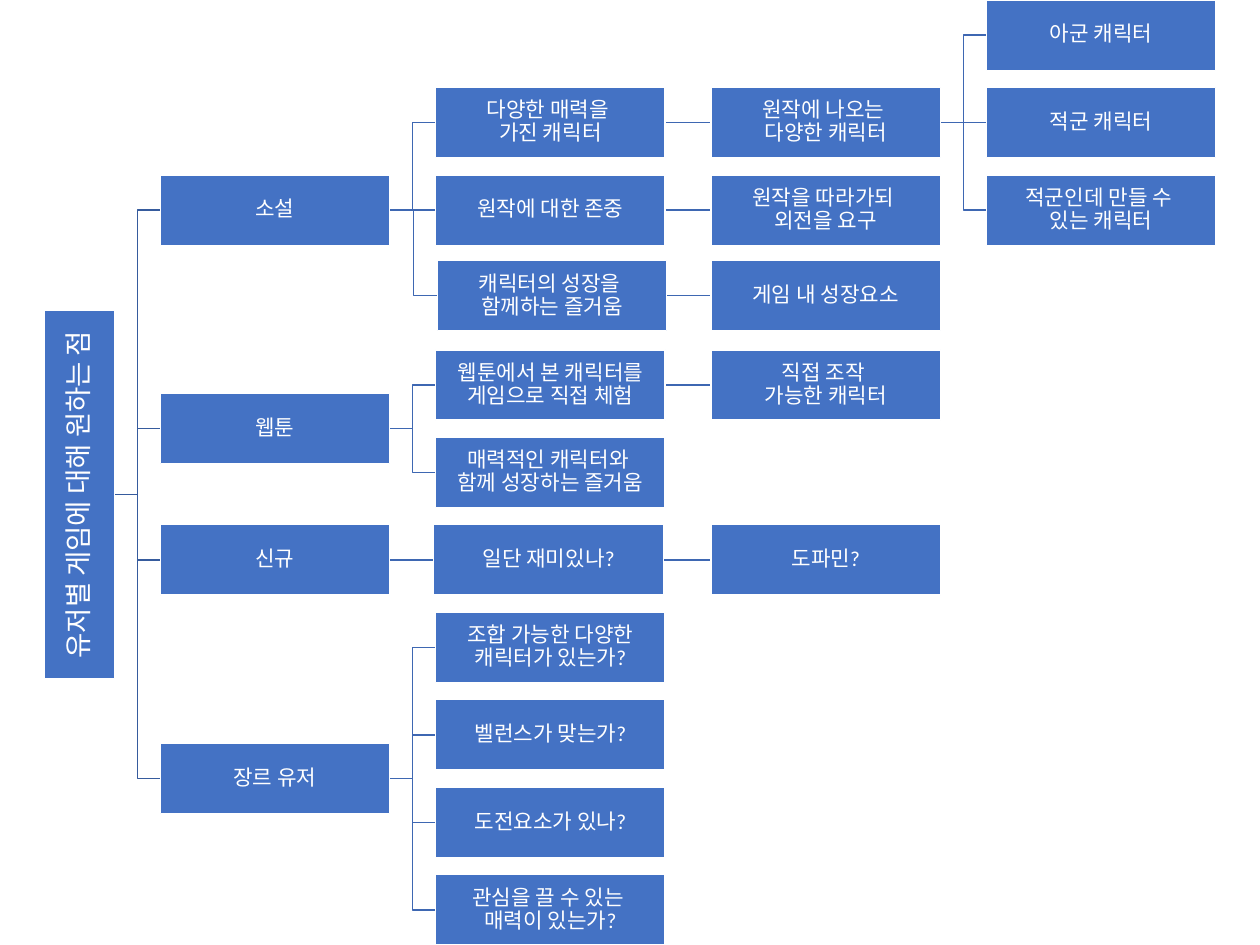
from collections import namedtuple
from dataclasses import dataclass

from lxml.etree import SubElement
from pptx import Presentation
from pptx.dml.color import RGBColor
from pptx.enum.shapes import MSO_CONNECTOR, MSO_SHAPE
from pptx.enum.text import MSO_ANCHOR, PP_ALIGN
from pptx.oxml.ns import qn
from pptx.util import Inches, Pt


@dataclass(frozen=True)
class Theme:
    box: RGBColor = RGBColor(0x44, 0x72, 0xC4)
    edge: RGBColor = RGBColor(0xFF, 0xFF, 0xFF)
    text: RGBColor = RGBColor(0xFF, 0xFF, 0xFF)
    trunk: RGBColor = RGBColor(0x36, 0x5B, 0x9D)
    branch: RGBColor = RGBColor(0x3E, 0x67, 0xB2)
    font: str = "Calibri"
    root_size: int = 22
    node_size: int = 17
    line: int = 1


THEME = Theme()
Box = namedtuple("Box", "left top width height")
Node = namedtuple("Node", "text row children nudge", defaults=((), 0))

ROOT_TEXT = "유저별 게임에 대해 원하는 점"
ROOT_BOX = Box(0.49, 3.45, 0.78, 4.09)
TREE_BOX = Box(1.78, 0, 11.73, 10.5)
NODE_W, NODE_H = 2.55, 0.78
COL_STEP, ROW_STEP = 3.06, 0.972

BRANCHES = (
    Node("소설", 2, (
        Node("다양한 매력을 \v가진 캐릭터", 1, (
            Node("원작에 나오는 \v다양한 캐릭터", 1, (
                Node("아군 캐릭터", 0),
                Node("적군 캐릭터", 1),
                Node("적군인데 만들 수 \v있는 캐릭터", 2),
            )),
        )),
        Node("원작에 대한 존중", 2, (
            Node("원작을 따라가되 \v외전을 요구", 2),
        )),
        Node("캐릭터의 성장을 \v함께하는 즐거움", 2.98, (
            Node("게임 내 성장요소", 2.98),
        ), 0.02),
    )),
    Node("웹툰", 4.5, (
        Node("웹툰에서 본 캐릭터를 게임으로 직접 체험", 4, (
            Node("직접 조작 \v가능한 캐릭터", 4),
        )),
        Node("매력적인 캐릭터와 \v함께 성장하는 즐거움", 5),
    )),
    Node("신규", 6, (
        Node("일단 재미있나?", 6, (
            Node("도파민?", 6),
        ), -0.02),
    )),
    Node("장르 유저", 8.5, (
        Node("조합 가능한 다양한 캐릭터가 있는가?", 7),
        Node("벨런스가 맞는가?", 8),
        Node("도전요소가 있나?", 9),
        Node("관심을 끌 수 있는 \v매력이 있는가?", 10),
    )),
)


def add_box(slide, text, box, size, inset):
    sp = slide.shapes.add_shape(MSO_SHAPE.RECTANGLE, *map(Inches, box))
    sp.shadow.inherit = False
    sp.fill.solid()
    sp.fill.fore_color.rgb = THEME.box
    sp.line.color.rgb = THEME.edge
    sp.line.width = Pt(THEME.line)
    tf = sp.text_frame
    tf.word_wrap = True
    tf.vertical_anchor = MSO_ANCHOR.MIDDLE
    tf.margin_left = tf.margin_right = Inches(inset)
    tf.margin_top = tf.margin_bottom = Inches(inset)
    tf.text = text
    p = tf.paragraphs[0]
    p.alignment = PP_ALIGN.CENTER
    p.line_spacing = 0.9
    p.space_after = Pt(size * 0.35)
    p.font.name = THEME.font
    p.font.size = Pt(size)
    p.font.color.rgb = THEME.text
    return sp


def add_link(slide, parent, child, color, site=3):
    level = abs(parent.top + parent.height / 2 - child.top - child.height / 2) < Inches(0.01)
    kind = MSO_CONNECTOR.STRAIGHT if level else MSO_CONNECTOR.ELBOW
    cxn = slide.shapes.add_connector(kind, 0, 0, 0, 0)
    cxn.begin_connect(parent, site)
    cxn.end_connect(child, 1)
    cxn.line.color.rgb = color
    cxn.line.width = Pt(THEME.line)
    SubElement(cxn.element.spPr, qn("a:effectLst"))
    slide.shapes.element.insert(2, cxn.element)
    return cxn


def add_root(slide, box):
    shift = (box.height - box.width) / 2
    turned = Box(box.left - shift, box.top + shift, box.height, box.width)
    sp = add_box(slide, ROOT_TEXT, turned, THEME.root_size, 0.02)
    sp.rotation = 270
    return sp


def add_branch(slide, node, box, column=0):
    place = Box(box.left + column * COL_STEP + node.nudge,
                box.top + node.row * ROW_STEP, NODE_W, NODE_H)
    sp = add_box(slide, node.text, place, THEME.node_size, 0.01)
    for child in node.children:
        add_link(slide, sp, add_branch(slide, child, box, column + 1), THEME.branch)
    return sp


def add_tree(slide, root_box, tree_box):
    root = add_root(slide, root_box)
    for node in BRANCHES:
        cxn = add_link(slide, root, add_branch(slide, node, tree_box), THEME.trunk, site=2)
        cxn.begin_x = Inches(root_box.left + root_box.width)
        cxn.begin_y = Inches(root_box.top + root_box.height / 2)


def main():
    prs = Presentation()
    prs.slide_width, prs.slide_height = Inches(14), Inches(10.5)
    slide = prs.slides.add_slide(prs.slide_layouts[6])
    add_tree(slide, ROOT_BOX, TREE_BOX)
    prs.save("out.pptx")


if __name__ == "__main__":
    main()
